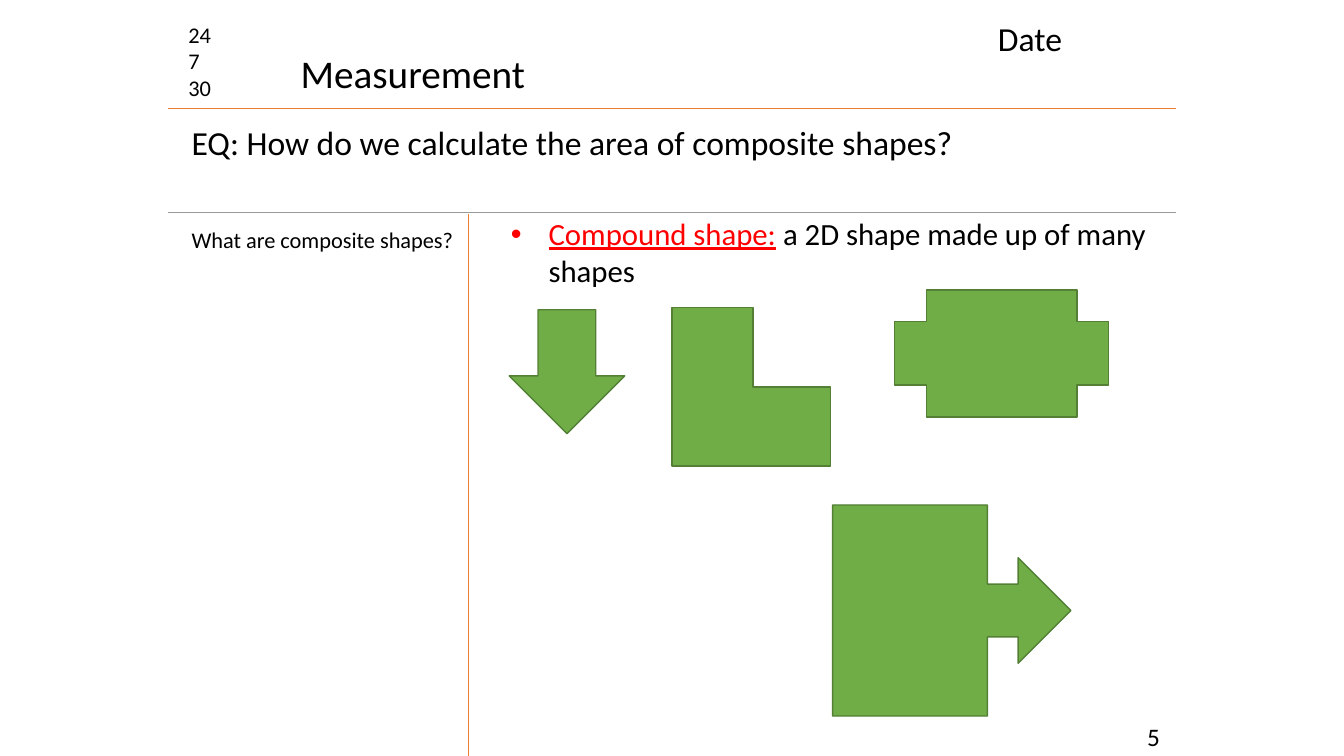
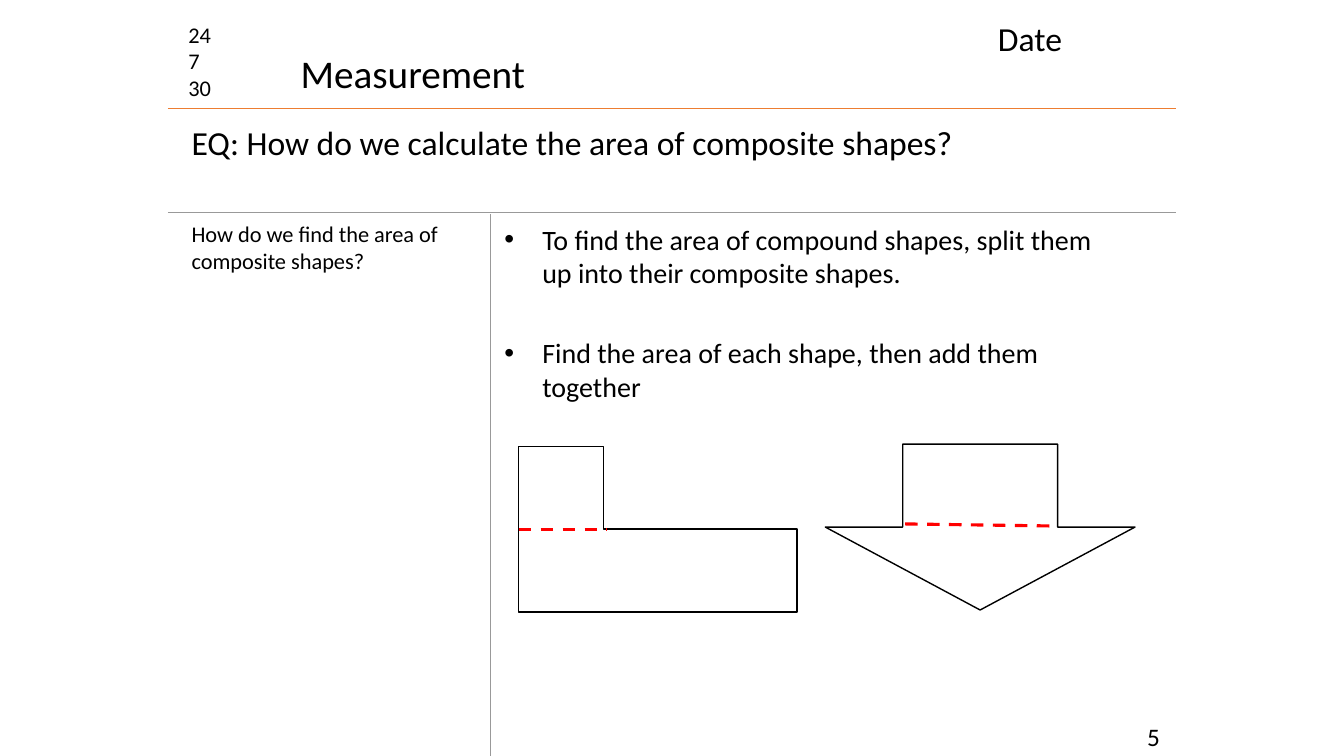
from lxml import etree
from pptx import Presentation
from pptx.dml.color import RGBColor
from pptx.enum.dml import MSO_LINE
from pptx.enum.shapes import MSO_CONNECTOR, MSO_SHAPE
from pptx.oxml.ns import qn
from pptx.util import Emu, Pt

STRAIGHT = MSO_CONNECTOR.STRAIGHT
DASH = MSO_LINE.DASH
DOWN_ARROW = MSO_SHAPE.DOWN_ARROW
HALF_FRAME = MSO_SHAPE.HALF_FRAME
PLUS = MSO_SHAPE.CROSS
CALLOUT = MSO_SHAPE.RIGHT_ARROW_CALLOUT

FONT = "Calibri"
BLACK, WHITE, RED = "000000", "FFFFFF", "FF0000"
ORANGE, GRAY = "ED7D31", "999999"
GREEN, DARK_GREEN = "70AD47", "538035"
WIDTH, HEIGHT = 1280, 720
LEFT, RIGHT = 160, 1120
TITLE_Y, QUESTION_Y = 103, 202
TEXT_X = 173
INDENT = 36


def px(n):
    """Turn px into EMU."""
    return Emu(n * 9525)


def rgb(color):
    """Turn a hex string into a colour."""
    return RGBColor.from_string(color)


def add_run(p, text, size=16, color=BLACK, underline=None):
    """Add a formatted run to a paragraph."""
    r = p.add_run()
    r.text = text
    r.font.name = FONT
    r.font.size = Pt(size)
    r.font.color.rgb = rgb(color)
    r.font.underline = underline


class NoteDeck:
    """Ruled note pages that share one header style."""

    def __init__(self):
        """Start an empty deck."""
        self.prs = Presentation()
        self.prs.slide_width, self.prs.slide_height = px(WIDTH), px(HEIGHT)
        self.s = None

    def text(self, box, paragraphs, wrap=True, bullet=False, gap=0, **fmt):
        """Add a text box; each paragraph is a list of (text, format) runs or a string."""
        tf = self.s.shapes.add_textbox(*map(px, box)).text_frame
        tf.word_wrap = wrap
        for i, runs in enumerate(paragraphs):
            p = tf.add_paragraph() if i else tf.paragraphs[0]
            if bullet:
                self.bullet(p)
            if i and gap:
                p.space_before = Pt(gap)
            for text, extra in [(runs, {})] if isinstance(runs, str) else runs:
                add_run(p, text, **{**fmt, **extra})

    def bullet(self, p):
        """Give a paragraph a hanging bullet."""
        pPr = p._p.get_or_add_pPr()
        pPr.set("marL", str(px(INDENT)))
        pPr.set("indent", str(-px(INDENT)))
        etree.SubElement(pPr, qn("a:buFont")).set("typeface", "Arial")
        etree.SubElement(pPr, qn("a:buChar")).set("char", "•")

    def line(self, x1, y1, x2, y2, color=ORANGE, width=0.5, dash=None):
        """Add a straight line."""
        sp = self.s.shapes.add_connector(STRAIGHT, px(x1), px(y1), px(x2), px(y2))
        sp.line.color.rgb = rgb(color)
        sp.line.width = Pt(width)
        sp.line.dash_style = dash
        etree.SubElement(sp._element.spPr, qn("a:effectLst"))

    def cut(self, *ends):
        """Add a dashed red line that splits a shape."""
        self.line(*ends, color=RED, width=2.25, dash=DASH)

    def shape(self, kind, box, fill=GREEN, line=DARK_GREEN):
        """Add a filled preset shape."""
        sp = self.s.shapes.add_shape(kind, *map(px, box))
        sp.shadow.inherit = False
        sp.fill.solid()
        sp.fill.fore_color.rgb = rgb(fill)
        sp.line.color.rgb = rgb(line)
        sp.line.width = Pt(1)
        return sp

    def corner(self, box, **style):
        """Add an L shape, a preset that the shape enumeration lacks."""
        sp = self.shape(HALF_FRAME, box, **style)
        sp.adjustments[0], sp.adjustments[1] = 0.5, 0.51
        sp._element.spPr.find(qn("a:prstGeom")).set("prst", "corner")

    def page(self, divider, color, question, question_y):
        """Start a page with its header, rules and margin question."""
        self.s = self.prs.slides.add_slide(self.prs.slide_layouts[6])
        self.text((1083, 682, 53, 38), ["5"], size=18)
        self.line(LEFT, TITLE_Y, RIGHT, TITLE_Y)
        self.line(LEFT, QUESTION_Y, RIGHT, QUESTION_Y, GRAY)
        self.line(divider, QUESTION_Y + 2, divider, HEIGHT, color)
        self.text((170, 15, 60, 87), ["24", "7", "30"])
        self.text((277, 42, 235, 55), ["Measurement"], wrap=False, size=28)
        self.text((941, 12, 166, 48), ["Date"], size=24)
        self.text((TEXT_X, 111, 905, 48),
                  ["EQ: How do we calculate the area of composite shapes?"], size=24)
        self.text((TEXT_X, question_y, 299, 60), [question])


def definition_page(deck):
    """Build the page that defines compound shapes."""
    deck.page(446, ORANGE, "What are composite shapes?", 211)
    deck.text((477, 200, 648, 94),
              [[("Compound shape:", {"color": RED, "underline": True}),
                (" a 2D shape made up of many shapes", {})]],
              bullet=True, size=22)
    deck.shape(DOWN_ARROW, (485, 295, 110, 118))
    deck.corner((640, 293, 151, 151))
    deck.shape(PLUS, (852, 276, 204, 121))
    deck.shape(CALLOUT, (793, 481, 227, 201))


def method_page(deck):
    """Build the page that splits shapes to find their area."""
    deck.page(467, GRAY, "How do we find the area of composite shapes?", 205)
    deck.text((471, 207, 600, 200),
              ["To find the area of compound shapes, split them up into their composite shapes.",
               "Find the area of each shape, then add them together"],
              bullet=True, gap=33, size=20)
    outline = {"fill": WHITE, "line": BLACK}
    deck.corner((494, 425, 265, 158), **outline)
    deck.cut(494, 504, 578, 504)
    deck.shape(DOWN_ARROW, (786, 423, 295, 158), **outline)
    deck.cut(862, 499, 1005, 501)


def main():
    """Build and save the deck."""
    deck = NoteDeck()
    definition_page(deck)
    method_page(deck)
    deck.prs.save("out.pptx")


if __name__ == "__main__":
    main()
